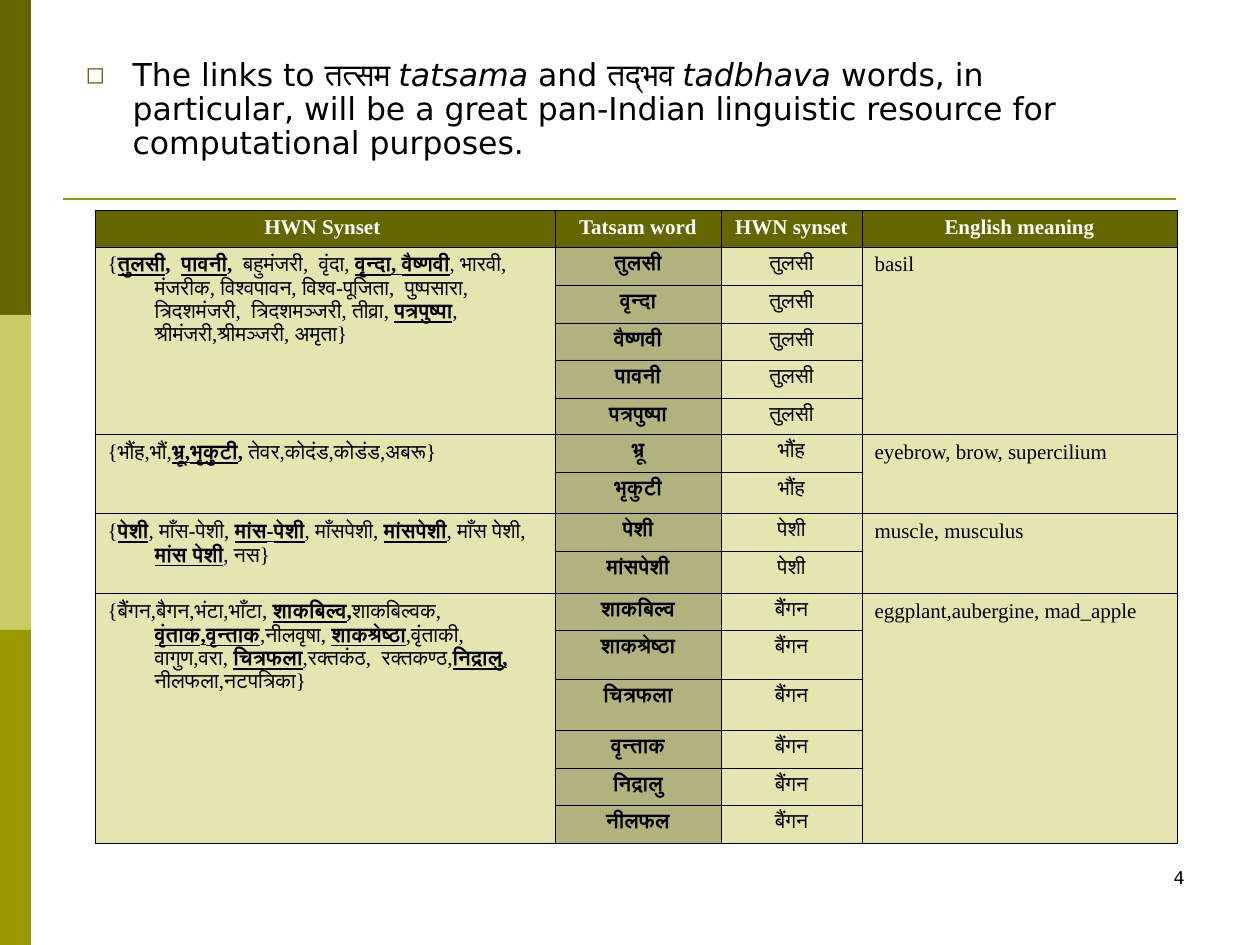
from dataclasses import dataclass
from itertools import accumulate
from typing import Any

from lxml.etree import SubElement as Sub
from pptx import Presentation
from pptx.dml.color import RGBColor as Rgb
from pptx.enum.shapes import MSO_CONNECTOR as Link, MSO_SHAPE as Kind
from pptx.enum.text import MSO_ANCHOR as Anchor, MSO_AUTO_SIZE as Fit, PP_ALIGN as Align
from pptx.oxml import parse_xml
from pptx.oxml.ns import nsdecls, qn
from pptx.util import Pt

SCALE = 914400 / 126


@dataclass(frozen=True)
class Theme:
    dark: str = "666600"
    mid: str = "999900"
    pale: str = "CCCC66"
    black: str = "000000"
    white: str = "FFFFFF"
    sans: str = "DejaVu Sans"
    serif: str = "Times New Roman"
    lead: int = 18
    cell: int = 12
    note: int = 10


@dataclass(frozen=True)
class Group:
    """One synset with its tatsama words; gap is the space above its head word."""
    synset: str
    words: tuple[str, ...]
    head: str
    sense: str
    gap: int = 0


THEME = Theme()
HANG = 47
# A run opening with one of these signs takes the format beside it.
MARKS = {"_": {"bold": True, "underline": True}, "*": {"bold": True}, "/": {"italic": True}}

LEAD = ("The links to तत्सम |/tatsama| and तद्भव |/tadbhava| words, in particular, "
        "will be a great pan-Indian linguistic resource for computational purposes.")
HEADS = ("HWN Synset ", "Tatsam word", "HWN synset", "English meaning")
GROUPS = (
    Group("{|_तुलसी|*,  |_पावनी|*,  |बहुमंजरी,  वृंदा, |_वृन्दा, वैष्णवी|, भारवी,  मंजरीक, "
          "विश्वपावन, विश्व-पूजिता,  पुष्पसारा, त्रिदशमंजरी,  त्रिदशमञ्जरी, तीव्रा, "
          "|_पत्रपुष्पा|, श्रीमंजरी,श्रीमञ्जरी, अमृता}",
          ("तुलसी", "वृन्दा", "वैष्णवी", "पावनी", "पत्रपुष्पा"), "तुलसी", "basil"),
    Group("{भौंह,भौं,|_भ्रू,भृकुटी|*, |तेवर,कोदंड,कोडंड,अबरू}",
          ("भ्रू", "भृकुटी"), "भौंह", "eyebrow, brow, supercilium", 3),
    Group("{|_पेशी|, माँस-पेशी, |_मांस-पेशी|, माँसपेशी, |_मांसपेशी|, माँस पेशी, |_मांस पेशी|, नस}",
          ("पेशी", "मांसपेशी"), "पेशी", "muscle, musculus"),
    Group("{बैंगन,बैगन,भंटा,भाँटा, |_शाकबिल्व|*,|शाकबिल्वक, |_वृंताक,वृन्ताक|,नीलवृषा, "
          "|_शाकश्रेष्ठा|,वृंताकी, वागुण,वरा, |_चित्रफला|,रक्तकंठ,  रक्तकण्ठ,|_निद्रालु,| "
          "नीलफला,नटपत्रिका}",
          ("शाकबिल्व", "शाकश्रेष्ठा", "चित्रफला", "वृन्ताक", "निद्रालु", "नीलफल"),
          "बैंगन", "eggplant,aubergine, mad_apple"),
)
COLS = (460, 166, 141, 315)
ROWS = (37, 38, 38, 37, 38, 37, 38, 41, 38, 42, 37, 49, 51, 38, 37, 38)


def px(*vals: int) -> list[int]:
    return [round(v * SCALE) for v in vals]


def put(obj: Any, vals: dict[str, Any]) -> None:
    for name, val in vals.items():
        setattr(obj, name, val)


def write(para: Any, text: str, font: str, size: int, color: str = THEME.black) -> None:
    """Fill a paragraph with runs parted by bars and styled by MARKS."""
    for part in text.split("|"):
        style = MARKS.get(part[0], {})
        run = para.add_run()
        run.text = part[1:] if style else part
        put(run.font, {"name": font, "size": Pt(size), "bold": False, **style})
        run.font.color.rgb = Rgb.from_string(color)


def hang(para: Any) -> Any:
    """Hang the first line and return the paragraph's properties."""
    props = para._p.get_or_add_pPr()
    width, = px(HANG)
    props.set("marL", str(width))
    props.set("indent", str(-width))
    return props


def draw_bands(shapes: Any) -> None:
    for i, color in enumerate((THEME.dark, THEME.pale, THEME.mid)):
        band = shapes.add_shape(Kind.RECTANGLE, *px(0, 315 * i, 31, 315))
        band.shadow.inherit = False
        band.fill.solid()
        band.fill.fore_color.rgb = Rgb.from_string(color)
        band.line.fill.background()


def draw_rule(shapes: Any) -> None:
    rule = shapes.add_connector(Link.STRAIGHT, *px(63, 199, 1176, 199))
    rule.line.width = Pt(1.5)
    rule.line.color.rgb = Rgb.from_string(THEME.mid)
    Sub(rule._element.spPr, qn("a:effectLst"))


def draw_lead(body: Any) -> None:
    put(body, dict(zip(("left", "top", "width", "height"), px(73, 53, 1081, 136))))
    frame = body.text_frame
    put(frame, {"auto_size": Fit.NONE, "word_wrap": True, "vertical_anchor": Anchor.TOP})
    para = frame.paragraphs[0]
    put(para, {"line_spacing": 0.9, "space_before": Pt(4.5), "alignment": Align.LEFT})
    props = hang(para)
    Sub(Sub(props, qn("a:buClr")), qn("a:srgbClr"), val=THEME.dark)
    Sub(props, qn("a:buSzPct"), val="75000")
    Sub(props, qn("a:buFont"), typeface=THEME.sans)
    Sub(props, qn("a:buChar"), char="◻")
    write(para, LEAD, THEME.sans, THEME.lead)


def paint(cell: Any, color: str, alpha: int) -> None:
    """Fill a cell and line its four sides."""
    cell.fill.solid()
    cell.fill.fore_color.rgb = Rgb.from_string(color)
    props = cell._tc.get_or_add_tcPr()
    if alpha < 100:
        Sub(props.find(".//" + qn("a:srgbClr")), qn("a:alpha"), val=str(alpha * 1000))
    for i, side in enumerate("LRTB"):
        props.insert(i, parse_xml(
            f'<a:ln{side} {nsdecls("a")} w="{Pt(0.45)}"><a:solidFill>'
            f'<a:srgbClr val="{THEME.black}"/></a:solidFill></a:ln{side}>'))


def fill_cell(cell: Any, text: str, align: Any = Align.LEFT,
              color: str = THEME.black, gap: int = 0) -> None:
    para = cell.text_frame.paragraphs[0]
    put(para, {"alignment": align, "space_before": Pt(gap)})
    hang(para)
    write(para, text, THEME.serif, THEME.cell, color)


def draw_table(shapes: Any) -> None:
    grid = shapes.add_table(len(ROWS), len(COLS), *px(95, 210, sum(COLS), sum(ROWS))).table
    for col, width in zip(grid.columns, px(*COLS)):
        col.width = width
    for row, height in zip(grid.rows, px(*ROWS)):
        row.height = height
    for r in range(len(ROWS)):
        for c in range(len(COLS)):
            color = THEME.dark if r == 0 or c == 1 else THEME.pale
            paint(grid.cell(r, c), color, 50 if r else 100)
    for c, text in enumerate(HEADS):
        fill_cell(grid.cell(0, c), "*" + text, Align.CENTER, THEME.white)
    tops = accumulate((len(g.words) for g in GROUPS), initial=1)
    for top, group in zip(tops, GROUPS):
        last = top + len(group.words) - 1
        for c, text in ((0, group.synset), (3, group.sense)):
            grid.cell(top, c).merge(grid.cell(last, c))
            fill_cell(grid.cell(top, c), text)
        for r, word in enumerate(group.words, top):
            fill_cell(grid.cell(r, 1), "*" + word, Align.CENTER)
            fill_cell(grid.cell(r, 2), group.head, Align.CENTER, gap=group.gap)


def draw_number(shapes: Any) -> None:
    frame = shapes.add_textbox(*px(903, 861, 294, 63)).text_frame
    frame.word_wrap = True
    para = frame.paragraphs[0]
    para.alignment = Align.RIGHT
    write(para, "4", THEME.sans, THEME.note)


def main() -> None:
    deck = Presentation()
    put(deck, dict(zip(("slide_width", "slide_height"), px(1260, 945))))
    slide = deck.slides.add_slide(deck.slide_layouts[1])
    title = slide.shapes.title._element
    title.getparent().remove(title)
    draw_bands(slide.shapes)
    draw_rule(slide.shapes)
    draw_lead(slide.placeholders[1])
    draw_table(slide.shapes)
    draw_number(slide.shapes)
    deck.save("out.pptx")


if __name__ == "__main__":
    main()
